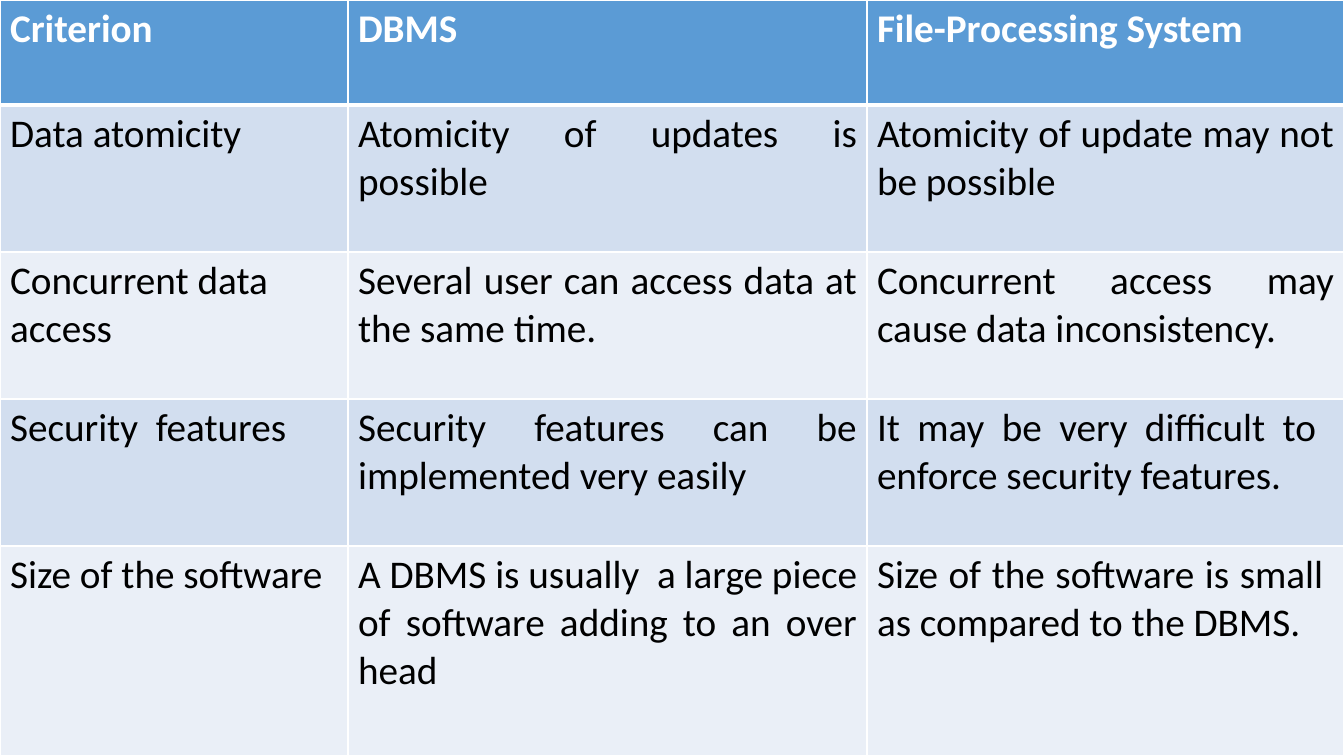
from lxml.etree import SubElement as Sub
from pptx import Presentation
from pptx.dml.color import RGBColor as RGB
from pptx.enum.text import PP_ALIGN as Align
from pptx.oxml.ns import qn
from pptx.util import Pt

# Content
ROWS = [
    ("Criterion", "DBMS", "File-Processing System"),
    ("Data atomicity", "Atomicity of updates is possible",
     "Atomicity of update may not be possible"),
    ("Concurrent data access", "Several user can access data at the same time.",
     "Concurrent access may cause data inconsistency."),
    ("Security  features", "Security features can be implemented very easily",
     "It may be very difficult to  enforce security features."),
    ("Size of the software",
     "A DBMS is usually  a large piece of software adding to an over head",
     "Size of the software is small  as compared to the DBMS."),
]
WIDTHS = [348, 519, 477]
HEIGHTS = [105, 147, 147, 147, 210]
COLORS = {"head": "5B9BD5", "odd": "D2DEEF", "even": "EAEFF7",
          "white": "FFFFFF", "black": "000000",
          "top": "5E6D85", "base": "35445A"}
FONT, SIZE = "Calibri", 28


def px(n):
    return round(n * 914400 / 100.8)


def color(name):
    return RGB.from_string(COLORS[name])


def edge(cell, side, width):
    line = Sub(cell._tc.get_or_add_tcPr(), qn("a:ln" + side), w=str(Pt(width)))
    Sub(Sub(line, qn("a:solidFill")), qn("a:srgbClr"), val=COLORS["white"])


# Slide and background
deck = Presentation()
deck.slide_width, deck.slide_height = px(sum(WIDTHS)), px(sum(HEIGHTS))
slide = deck.slides.add_slide(deck.slide_layouts[6])
back = slide.background.fill
back.gradient()
back.gradient_angle = 270
for stop, name in zip(back.gradient_stops, ("top", "base")):
    stop.color.rgb = color(name)

# Table grid
table = slide.shapes.add_table(len(ROWS), len(WIDTHS), 0, 0,
                               deck.slide_width, deck.slide_height).table
for col, width in zip(table.columns, WIDTHS):
    col.width = px(width)
for row, height in zip(table.rows, HEIGHTS):
    row.height = px(height)

# Cells
for r, texts in enumerate(ROWS):
    head = r == 0
    shade = "head" if head else "odd" if r % 2 else "even"
    for c, text in enumerate(texts):
        cell = table.cell(r, c)
        for side in "LRTB":
            thick = (head and side == "B") or (r == 1 and side == "T")
            edge(cell, side, 3 if thick else 1)
        cell.fill.solid()
        cell.fill.fore_color.rgb = color(shade)
        cell.text_frame.text = text
        para = cell.text_frame.paragraphs[0]
        para.alignment = Align.JUSTIFY if c else Align.LEFT
        font = para.runs[0].font
        font.name, font.size, font.bold = FONT, Pt(SIZE), head
        font.color.rgb = color("white" if head else "black")

deck.save("out.pptx")
